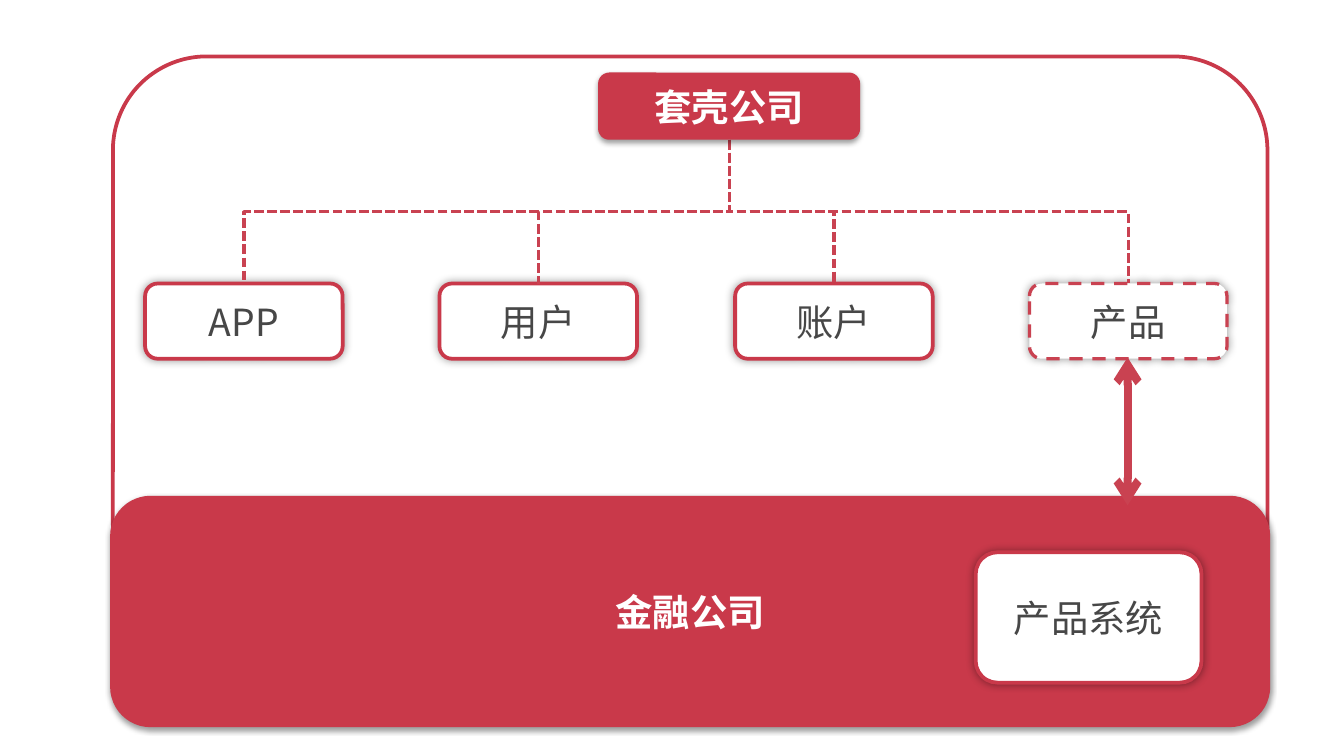
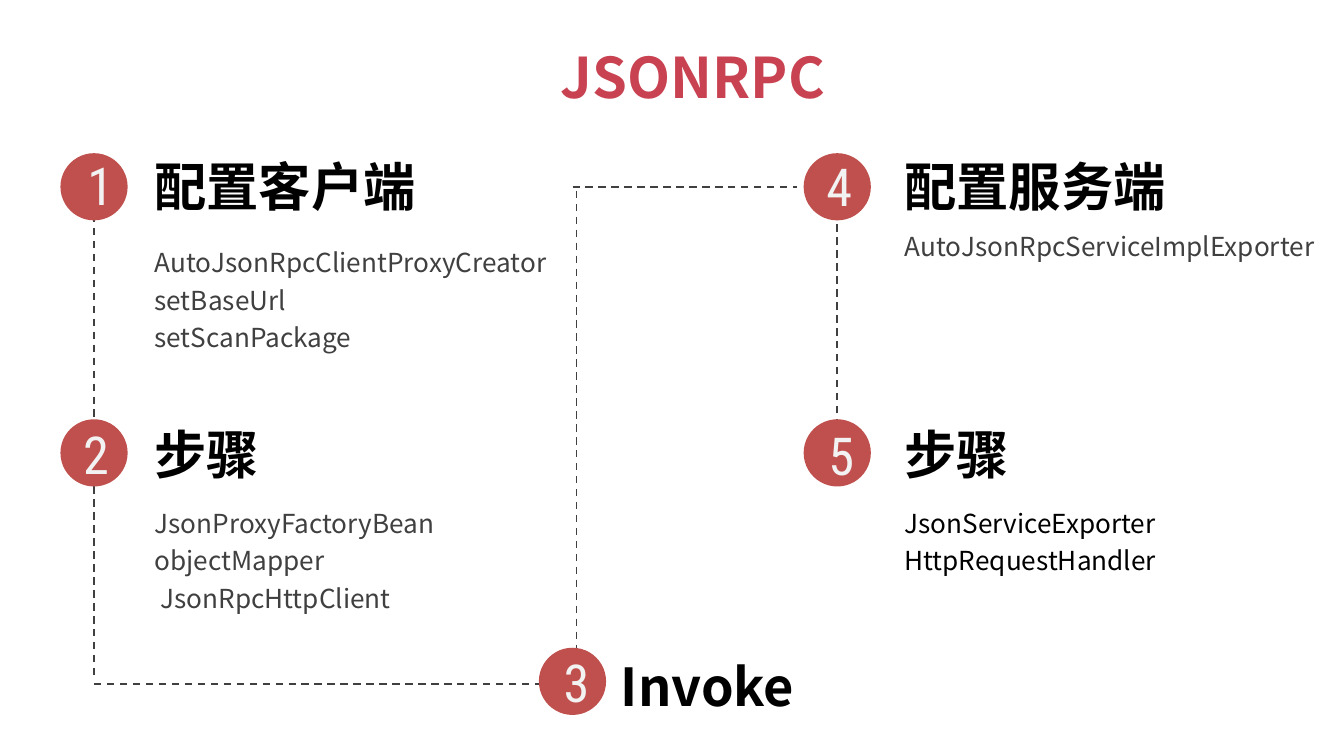
import pptx
import pptx.dml.color
import pptx.enum.dml
import pptx.enum.shapes
import pptx.enum.text
import pptx.oxml
import pptx.oxml.ns
import pptx.util
import lxml.etree

PX = 9144  # EMU in one px, 100 px to the inch
WIDE = 1000  # slide width, with sides 16 to 9
SANS, SLIM = "Noto Sans CJK SC", "Roboto Condensed"
COLORS = {
    "red": "C9394A", "rose": "C94251", "brick": "C0504D", "ink": "474747",
    "gray": "404040", "pale": "F2F2F2", "white": "FFFFFF", "black": "000000",
}
GLOW = dict(alpha=40, blur=5, dist=0, angle=0)
DROP = dict(alpha=38, blur=3.1, dist=1.6, angle=90)

KIND = pptx.enum.shapes.MSO_SHAPE
LINK = pptx.enum.shapes.MSO_CONNECTOR
DASH = pptx.enum.dml.MSO_LINE
ALIGN = pptx.enum.text.PP_ALIGN
FIT = pptx.enum.text.MSO_AUTO_SIZE
qn = pptx.oxml.ns.qn


def emu(*px):
    return [round(n * PX) for n in px]


def rgb(name):
    return pptx.dml.color.RGBColor.from_string(COLORS[name])


# Text
def write(frame, text, size=20, color="black", font=SANS, bold=False,
          align=None, lead=None, gap=None):
    for i, row in enumerate(text.split("\n")):
        para = frame.paragraphs[0] if i == 0 else frame.add_paragraph()
        para.alignment = align
        if lead:
            para.line_spacing = pptx.util.Pt(lead)
        run = para.add_run()
        run.text = row
        run.font.size = pptx.util.Pt(size)
        run.font.bold = bold
        run.font.name = font
        run.font.color.rgb = rgb(color)
        props = run.font._element
        lxml.etree.SubElement(props, qn("a:ea")).set("typeface", font)
        if gap:
            props.set("spc", str(gap * 100))


def label(shapes, box, text, inset=0, wrap=True, **style):
    frame = shapes.add_textbox(*emu(*box)).text_frame
    frame.word_wrap = wrap
    frame.auto_size = FIT.SHAPE_TO_FIT_TEXT
    if inset is not None:
        frame.margin_left = frame.margin_right = inset
        frame.margin_top = frame.margin_bottom = inset
    write(frame, text, **style)


# Shapes
def stroke(line, color, width, dash=None):
    line.color.rgb = rgb(color)
    line.width = pptx.util.Pt(width)
    if dash:
        line.dash_style = dash


def shade(shape, alpha, blur, dist, angle):
    glow = lxml.etree.SubElement(
        shape._element.spPr.find(qn("a:effectLst")), qn("a:outerShdw"))
    glow.set("blurRad", str(pptx.util.Pt(blur)))
    glow.set("dist", str(pptx.util.Pt(dist)))
    glow.set("dir", str(angle * 60000))
    glow.set("rotWithShape", "0")
    tint = lxml.etree.SubElement(glow, qn("a:srgbClr"))
    tint.set("val", COLORS["black"])
    lxml.etree.SubElement(tint, qn("a:alpha")).set("val", str(alpha * 1000))


def block(shapes, kind, box, fill=None, line=None, shadow=None):
    shape = shapes.add_shape(kind, *emu(*box))
    shape.shadow.inherit = False
    if fill:
        shape.fill.solid()
        shape.fill.fore_color.rgb = rgb(fill)
    else:
        shape.fill.background()
    if line:
        stroke(shape.line, *line)
    else:
        shape.line.fill.background()
    if shadow:
        shade(shape, **shadow)
    return shape


def card(slide, box, text, line=("red", 2)):
    shape = block(slide.shapes, KIND.ROUNDED_RECTANGLE, box, "white", line, GLOW)
    write(shape.text_frame, text, color="ink", align=ALIGN.CENTER)


def panel(slide, box, text, line=None):
    shape = block(slide.shapes, KIND.ROUNDED_RECTANGLE, box, "red", line, DROP)
    write(shape.text_frame, text, color="white", bold=True, align=ALIGN.CENTER)


# Lines
def link(slide, ends, kind=LINK.STRAIGHT, color="gray", width=1, dash=None):
    wire = slide.shapes.add_connector(kind, *emu(*ends))
    stroke(wire.line, color, width, dash)
    lxml.etree.SubElement(wire._element.spPr, qn("a:effectLst"))
    return wire


def branch(slide, x1, y1, x2, y2):
    # An elbow turned by 90 degrees leaves its start going down
    mid_x, mid_y = (x1 + x2) / 2, (y1 + y2) / 2
    half_w, half_h = (y2 - y1) / 2, (x1 - x2) / 2
    ends = (mid_x - half_w, mid_y - half_h, mid_x + half_w, mid_y + half_h)
    wire = link(slide, ends, LINK.ELBOW, "rose", 1.75, DASH.SQUARE_DOT)
    wire._element.spPr.find(qn("a:xfrm")).set("rot", "5400000")


def arrow(slide, ends):
    wire = link(slide, ends, color="rose", width=4.25)
    for end in ("a:headEnd", "a:tailEnd"):
        tip = lxml.etree.SubElement(wire.line._get_or_add_ln(), qn(end))
        tip.set("type", "arrow")


# Steps
def badge(slide, x, y, digit, spot):
    group = slide.shapes.add_group_shape().shapes
    block(group, KIND.OVAL, (x, y, 50, 50), "brick")
    label(group, spot + (47,), digit, wrap=False, size=28, color="pale",
          font=SLIM, align=ALIGN.CENTER, gap=4)


def step(slide, x, y, width, head, top=0, body="", span=0, color="gray"):
    if body:
        high = 28 * len(body.split("\n"))
        label(slide.shapes, (x, top, span, high), body, size=14, color=color,
              align=ALIGN.JUSTIFY, lead=20)
    label(slide.shapes, (x, y, width, 47), head, size=28, bold=True)


def draw_firm(slide):
    block(slide.shapes, KIND.ROUNDED_RECTANGLE, (84, 42, 859, 418),
          line=("red", 2))
    # Row of cards
    names = ["APP", "用户", "账户", "产品"]
    lefts = [round(108 + i * 219.33) for i in range(len(names))]
    for name, left in zip(names, lefts):
        line = ("rose", 1.75, DASH.DASH) if name == "产品" else ("red", 2)
        card(slide, (left, 211, 147, 56), name, line)
    for left in lefts:
        branch(slide, 543, 104, left + 73.5, 211)
    # Lower firm
    panel(slide, (84, 371, 859, 168), "金融公司", ("red", 3))
    arrow(slide, (839, 266, 839, 376))
    card(slide, (726, 411, 168, 97), "产品系统")
    panel(slide, (445, 54, 195, 50), "套壳公司")


def draw_rpc(slide):
    label(slide.shapes, (406, 27, 219, 60), "JSONRPC", inset=None, wrap=False,
          size=30, color="rose", bold=True, align=ALIGN.CENTER)
    # Dashed route
    for ends in [(70, 160, 70, 312), (70, 362, 70, 505), (70, 509, 402, 509),
                 (429, 142, 429, 487), (426, 139, 593, 139),
                 (623, 167, 623, 312)]:
        link(slide, ends, dash=DASH.DASH)
    # Heads and details
    step(slide, 115, 115, 293, "配置客户端", 179,
         "AutoJsonRpcClientProxyCreator\nsetBaseUrl\nsetScanPackage", 356)
    step(slide, 115, 314, 328, "步骤", 373,
         "JsonProxyFactoryBean\nobjectMapper\n JsonRpcHttpClient", 356)
    step(slide, 462, 487, 238, "Invoke")
    step(slide, 673, 115, 311, "配置服务端", 167,
         "AutoJsonRpcServiceImplExporter", 362)
    step(slide, 673, 314, 324, "步骤", 373,
         "JsonServiceExporter\nHttpRequestHandler", 362, "black")
    # Numbers
    for x, y, digit, spot in [(45, 114, "1", (65, 114, 14)),
                              (45, 312, "2", (61, 314, 21)),
                              (401, 482, "3", (418, 484, 22)),
                              (598, 114, "4", (614, 115, 21)),
                              (598, 312, "5", (615, 315, 22))]:
        badge(slide, x, y, digit, spot)


def main():
    deck = pptx.Presentation()
    deck.slide_width, deck.slide_height = emu(WIDE, WIDE * 9 / 16)
    for draw in (draw_firm, draw_rpc):
        draw(deck.slides.add_slide(deck.slide_layouts[6]))
    deck.save("out.pptx")


if __name__ == "__main__":
    main()
